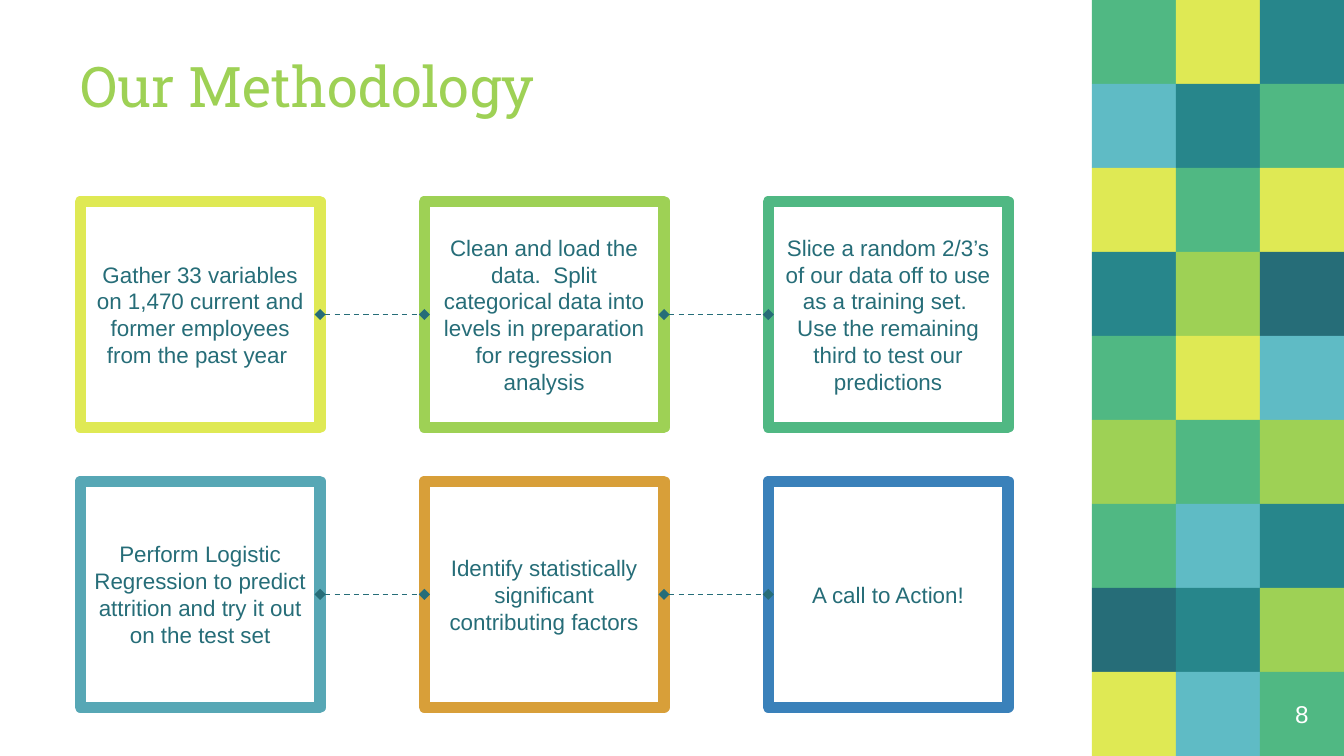
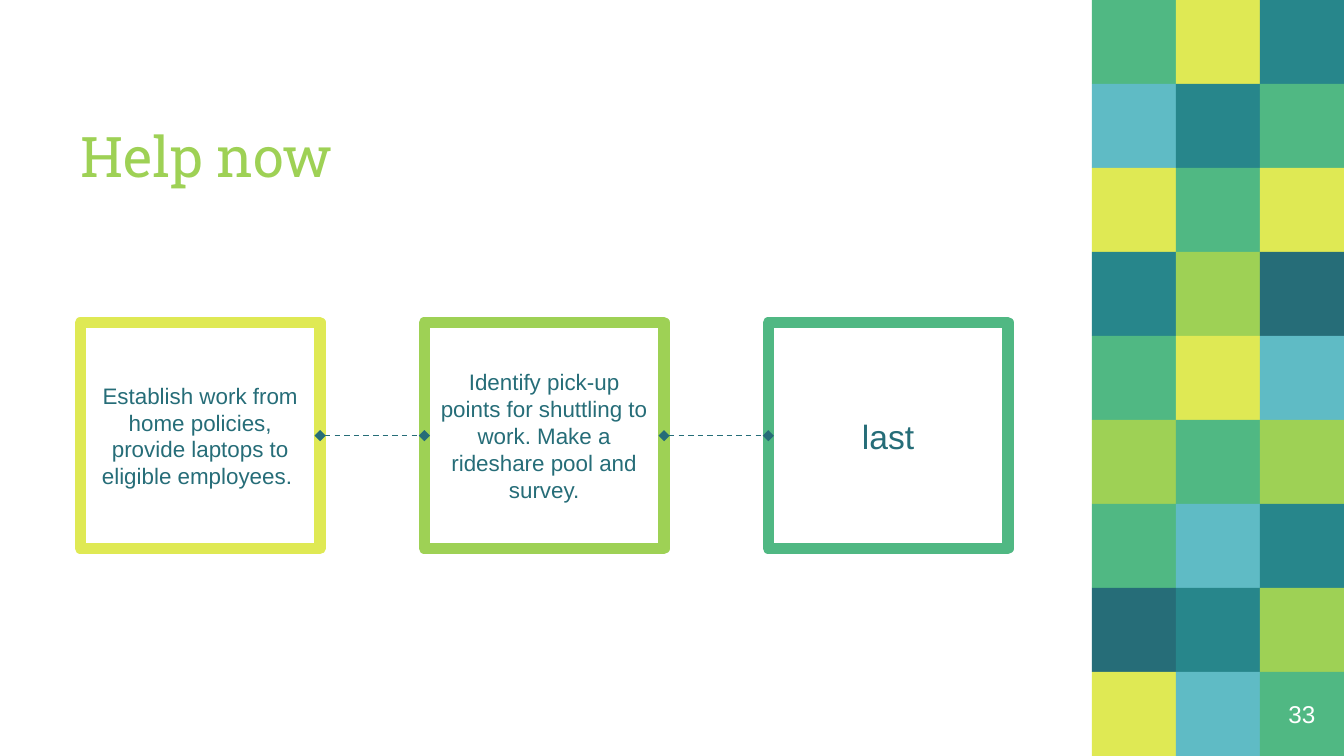
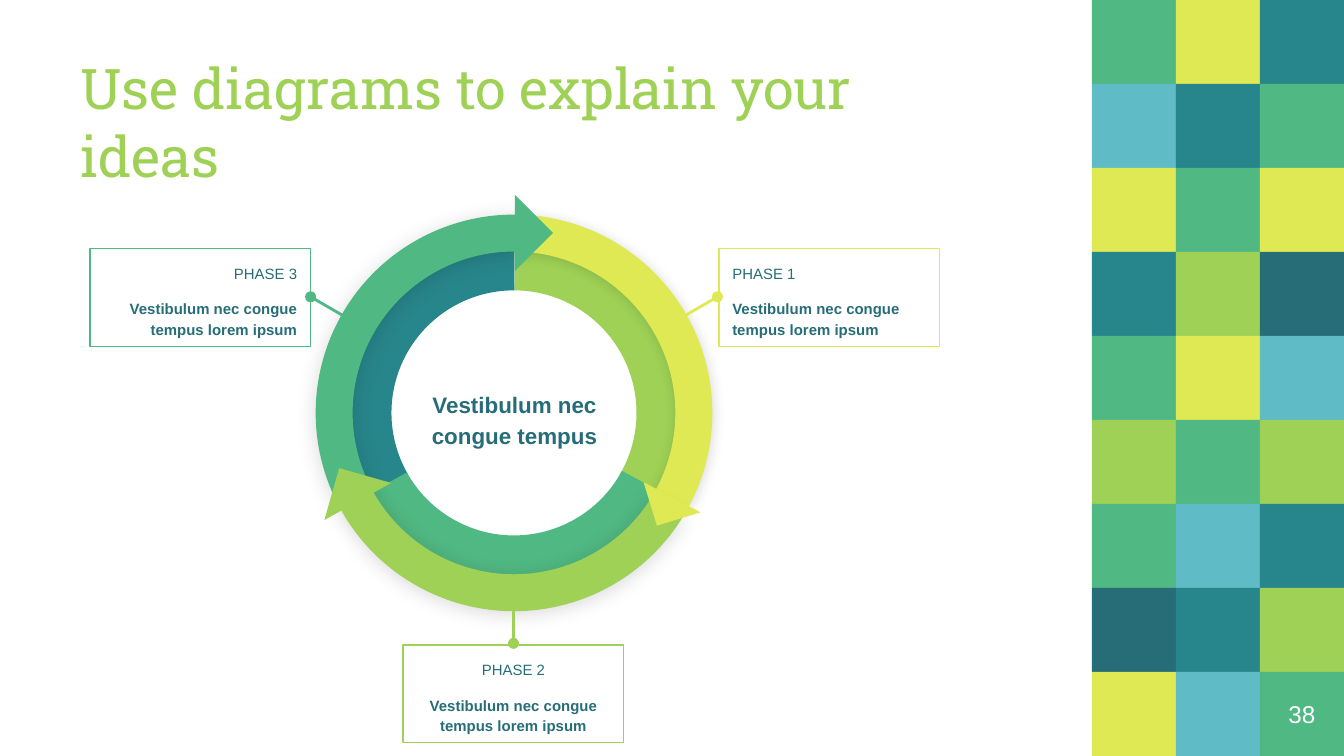
import lxml.etree
import pptx
import pptx.dml.color
import pptx.enum.dml
import pptx.enum.shapes
import pptx.enum.text
import pptx.oxml.ns
import pptx.util

Cm = pptx.util.Cm
Pt = pptx.util.Pt
SHAPE = pptx.enum.shapes.MSO_SHAPE
ALIGN = pptx.enum.text.PP_ALIGN
ANCHOR = pptx.enum.text.MSO_ANCHOR
qn = pptx.oxml.ns.qn

COLORS = {
    "lime": "9ED155",
    "dark": "266D78",
    "yellow": "DFE954",
    "green": "50B883",
    "teal": "27868B",
    "sky": "5FBBC5",
    "steel": "57A7B5",
    "orange": "D89F39",
    "blue": "3A81BA",
    "white": "FFFFFF",
    "black": "000000",
}
PAGE_WIDTH, PAGE_HEIGHT = 25.4, 14.29
MOSAIC = [
    ("green", "yellow", "teal"),
    ("sky", "teal", "green"),
    ("yellow", "green", "yellow"),
    ("teal", "lime", "dark"),
    ("green", "yellow", "sky"),
    ("lime", "green", "lime"),
    ("green", "sky", "teal"),
    ("dark", "teal", "lime"),
    ("yellow", "sky", "green"),
]
TILE = PAGE_HEIGHT / len(MOSAIC)
MOSAIC_LEFT = PAGE_WIDTH - 3 * TILE
TITLE_LEFT, TITLE_WIDTH, TITLE_HEIGHT = 1.27, 17.8, 2.39
CARD_LEFT, CARD_WIDTH, CARD_HEIGHT, CARD_PITCH = 1.52, 4.53, 4.27, 6.5
CALLOUT_WIDTH, CALLOUT_HEIGHT = 4.17, 1.85
WHEEL_BOX = (5.98, 4.07, 7.47, 7.47)


def rgb(name):
    """Return the palette colour with this name."""
    return pptx.dml.color.RGBColor.from_string(COLORS[name])


def lengths(box):
    """Turn numbers in centimetres into lengths."""
    return [Cm(value) for value in box]


def write(shape, text, size=12, color="dark", font="Arial", bold=False,
          align=ALIGN.CENTER, anchor=ANCHOR.MIDDLE, spacing=None, before=0):
    """Write one more paragraph into a shape."""
    frame = shape.text_frame
    frame.word_wrap = True
    frame.vertical_anchor = anchor
    frame.margin_left = frame.margin_right = Cm(0.25)
    frame.margin_top = frame.margin_bottom = Cm(0.25)
    para = frame.add_paragraph() if frame.text else frame.paragraphs[0]
    para.alignment = align
    para.space_before = Pt(before)
    if spacing:
        para.line_spacing = spacing
    span = para.add_run()
    span.text = text
    span.font.name = font
    span.font.size = Pt(size)
    span.font.bold = bold
    span.font.color.rgb = rgb(color)


def add_label(page, box, text, **style):
    """Add a text box holding one paragraph."""
    write(page.shapes.add_textbox(*lengths(box)), text, **style)


def add_figure(page, kind, box, fill=None, line=None, weight=0.75, turn=0):
    """Add a preset shape without shadow, with optional fill and outline."""
    shape = page.shapes.add_shape(kind, *lengths(box))
    shape.shadow.inherit = False
    shape.rotation = turn
    if fill:
        shape.fill.solid()
        shape.fill.fore_color.rgb = rgb(fill)
    else:
        shape.fill.background()
    if line:
        shape.line.color.rgb = rgb(line)
        shape.line.width = Pt(weight)
    else:
        shape.line.fill.background()
    return shape


def add_link(page, start, end, color, weight, head=None, tail=None, dashed=False):
    """Add a straight connector with optional end marks."""
    link = page.shapes.add_connector(
        pptx.enum.shapes.MSO_CONNECTOR.STRAIGHT, *lengths(start + end))
    link.line.color.rgb = rgb(color)
    link.line.width = Pt(weight)
    if dashed:
        link.line.dash_style = pptx.enum.dml.MSO_LINE.DASH
    properties = link._element.spPr
    outline = properties.find(qn("a:ln"))
    for tag, mark in (("a:headEnd", head), ("a:tailEnd", tail)):
        if mark:
            lxml.etree.SubElement(outline, qn(tag), type=mark)
    lxml.etree.SubElement(properties, qn("a:effectLst"))


def add_soft_shadow(shape, blur, distance):
    """Give a shape a faint shadow falling downwards."""
    effects = shape._element.spPr.find(qn("a:effectLst"))
    shadow = lxml.etree.SubElement(
        effects, qn("a:outerShdw"), blurRad=str(Pt(blur)), dist=str(Pt(distance)),
        dir="5400000", algn="bl", rotWithShape="0")
    tint = lxml.etree.SubElement(shadow, qn("a:srgbClr"), val=COLORS["black"])
    lxml.etree.SubElement(tint, qn("a:alpha"), val="15000")


def add_page(deck, title, title_top, number):
    """Add a page with the mosaic band, the title and the page number."""
    page = deck.slides.add_slide(deck.slide_layouts[6])
    for row, colors in enumerate(MOSAIC):
        for column, color in enumerate(colors):
            box = (MOSAIC_LEFT + column * TILE, row * TILE, TILE, TILE)
            add_figure(page, SHAPE.RECTANGLE, box, fill=color)
    add_label(page, (TITLE_LEFT, title_top, TITLE_WIDTH, TITLE_HEIGHT), title, size=30,
              color="lime", font="Roboto Slab", align=ALIGN.LEFT, anchor=ANCHOR.BOTTOM)
    add_label(page, (PAGE_WIDTH - TILE, PAGE_HEIGHT - TILE, TILE, TILE), str(number),
              size=13, color="white")
    return page


def add_card_row(page, top, cards):
    """Add a row of framed cards joined by dashed links."""
    middle = top + CARD_HEIGHT / 2
    for index, (text, color, size) in enumerate(cards):
        left = CARD_LEFT + index * CARD_PITCH
        card = add_figure(page, SHAPE.RECTANGLE, (left, top, CARD_WIDTH, CARD_HEIGHT),
                          line=color, weight=6)
        write(card, text, size=size)
    for index in range(len(cards) - 1):
        left = CARD_LEFT + index * CARD_PITCH
        add_link(page, (left + CARD_WIDTH, middle), (left + CARD_PITCH, middle),
                 "dark", 0.75, head="diamond", tail="diamond", dashed=True)


def add_wheel(page, box, text):
    """Add the ring of three arrows with a text in its middle."""
    left, top, width, height = box
    add_label(page, (left + 1.74, top + 2.71, 4.01, 2.24), text, bold=True, spacing=1.15)
    arcs = [
        ("lime", 30, False, (144.14, 0.21, 0.19), None),
        ("yellow", 30, False, (144.14, 215.07, 0.09), (6.8, 0.8)),
        ("teal", 330, True, (143.89, 0.06, 0.19), None),
        ("green", 210, True, (143.44, 1.05, 0.19), None),
        ("green", 330, True, (143.49, 214.73, 0.09), (11.2, 1.5)),
        ("lime", 210, True, (143.16, 215, 0.09), (11.2, 1.5)),
    ]
    for color, turn, mirrored, adjustments, shadow in arcs:
        arc = add_figure(page, SHAPE.BLOCK_ARC, box, fill=color,
                         line=color if shadow else None, turn=turn)
        for index, value in enumerate(adjustments):
            arc.adjustments[index] = value
        if mirrored:
            arc._element.spPr.find(qn("a:xfrm")).set("flipH", "1")
        if shadow:
            add_soft_shadow(arc, *shadow)
    tips = [
        ("lime", 0.27, 4.9, 1.02, 106),
        ("yellow", 6.29, 4.9, 0.86, 342.9),
        ("green", 3.24, -0.18, 1.02, 225),
    ]
    for color, across, down, side, turn in tips:
        add_figure(page, SHAPE.RIGHT_TRIANGLE, (left + across, top + down, side, side),
                   fill=color, turn=turn)


def add_callout(page, box, heading, text, color, align, anchor_point, reach):
    """Add a framed note with a pin leading to the wheel."""
    start = (box[0] + anchor_point[0], box[1] + anchor_point[1])
    end = (start[0] + reach[0], start[1] + reach[1])
    add_link(page, start, end, color, 1.5, head="oval")
    note = add_figure(page, SHAPE.RECTANGLE, box, line=color)
    style = dict(size=8, align=align, anchor=ANCHOR.TOP, spacing=1.15)
    write(note, heading, **style)
    write(note, text, bold=True, before=8, **style)


def build_methodology(deck):
    """Build the page with the six steps of the method."""
    page = add_page(deck, "Our Methodology", 0.1, 8)
    add_card_row(page, 3.81, [
        ("Gather 33 variables on 1,470 current and former employees from the past year ",
         "yellow", 12),
        ("Clean and load the data.  Split categorical data into levels in preparation "
         "for regression analysis", "lime", 12),
        ("Slice a random 2/3’s of our data off to use as a training set.  Use the "
         "remaining third to test our predictions", "green", 12),
    ])
    add_card_row(page, 9.1, [
        ("Perform Logistic Regression to predict attrition and try it out on the test set",
         "steel", 12),
        ("Identify statistically significant contributing factors", "orange", 12),
        ("A call to Action!", "blue", 12),
    ])


def build_help(deck):
    """Build the page with the three immediate measures."""
    page = add_page(deck, "Help now", 1.42, 33)
    add_card_row(page, 6.1, [
        ("Establish work from home policies, provide laptops to eligible employees. ",
         "yellow", 12),
        ("Identify pick-up points for shuttling to work. Make a rideshare pool and survey.",
         "lime", 12),
        ("last", "green", 18),
    ])


def build_diagram(deck):
    """Build the page with the wheel and its three phases."""
    page = add_page(deck, "Use diagrams to explain your ideas", 1.42, 38)
    add_wheel(page, WHEEL_BOX, "Vestibulum nec congue tempus")
    phases = [
        ("PHASE 3", 1.7, 4.7, "green", ALIGN.RIGHT, (CALLOUT_WIDTH, 0.91), (1.19, 0.69)),
        ("PHASE 1", 13.59, 4.7, "yellow", ALIGN.LEFT, (-0.03, 0.91), (-1.19, 0.69)),
        ("PHASE 2", 7.62, 12.19, "lime", ALIGN.CENTER, (CALLOUT_WIDTH / 2, -0.03), (0, -1.3)),
    ]
    for heading, left, top, color, align, anchor_point, reach in phases:
        add_callout(page, (left, top, CALLOUT_WIDTH, CALLOUT_HEIGHT), heading,
                    "Vestibulum nec congue tempus lorem ipsum", color, align,
                    anchor_point, reach)


def main():
    """Build the deck and save it."""
    deck = pptx.Presentation()
    deck.slide_width, deck.slide_height = lengths((PAGE_WIDTH, PAGE_HEIGHT))
    build_methodology(deck)
    build_help(deck)
    build_diagram(deck)
    deck.save("out.pptx")


if __name__ == "__main__":
    main()
